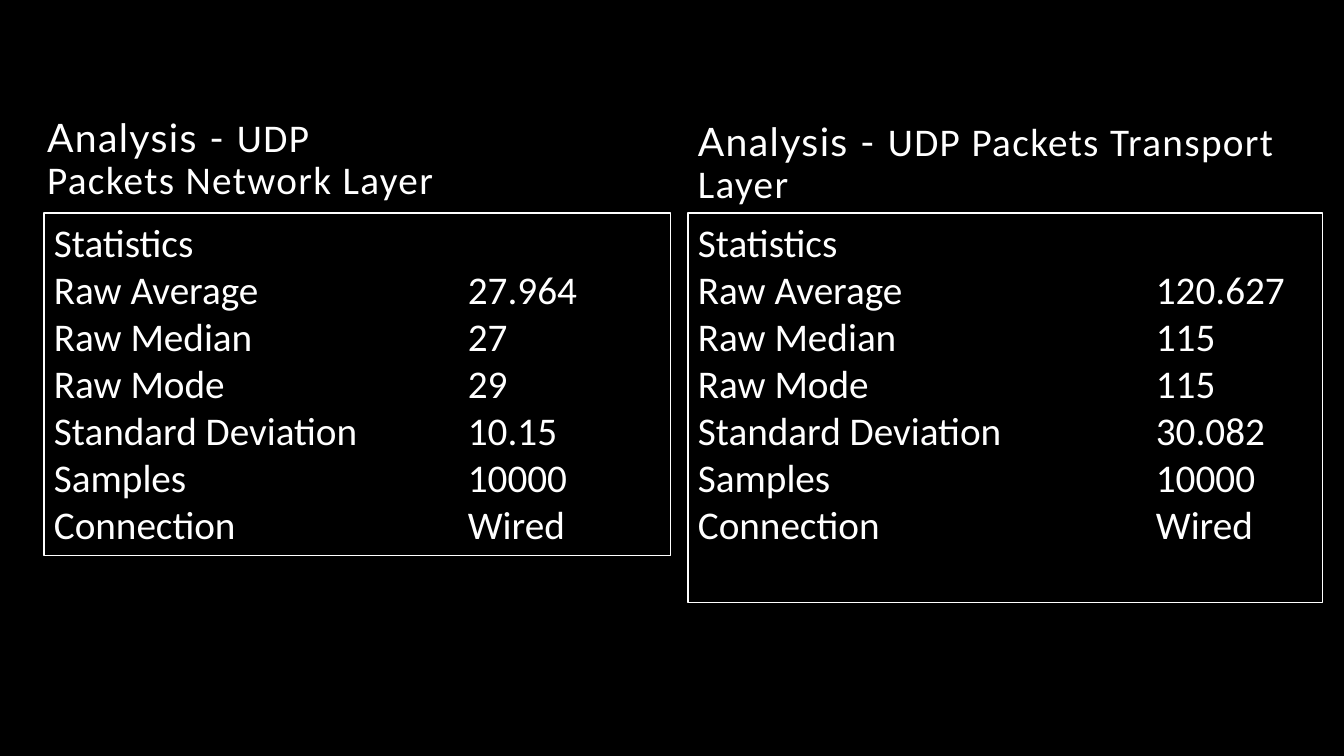
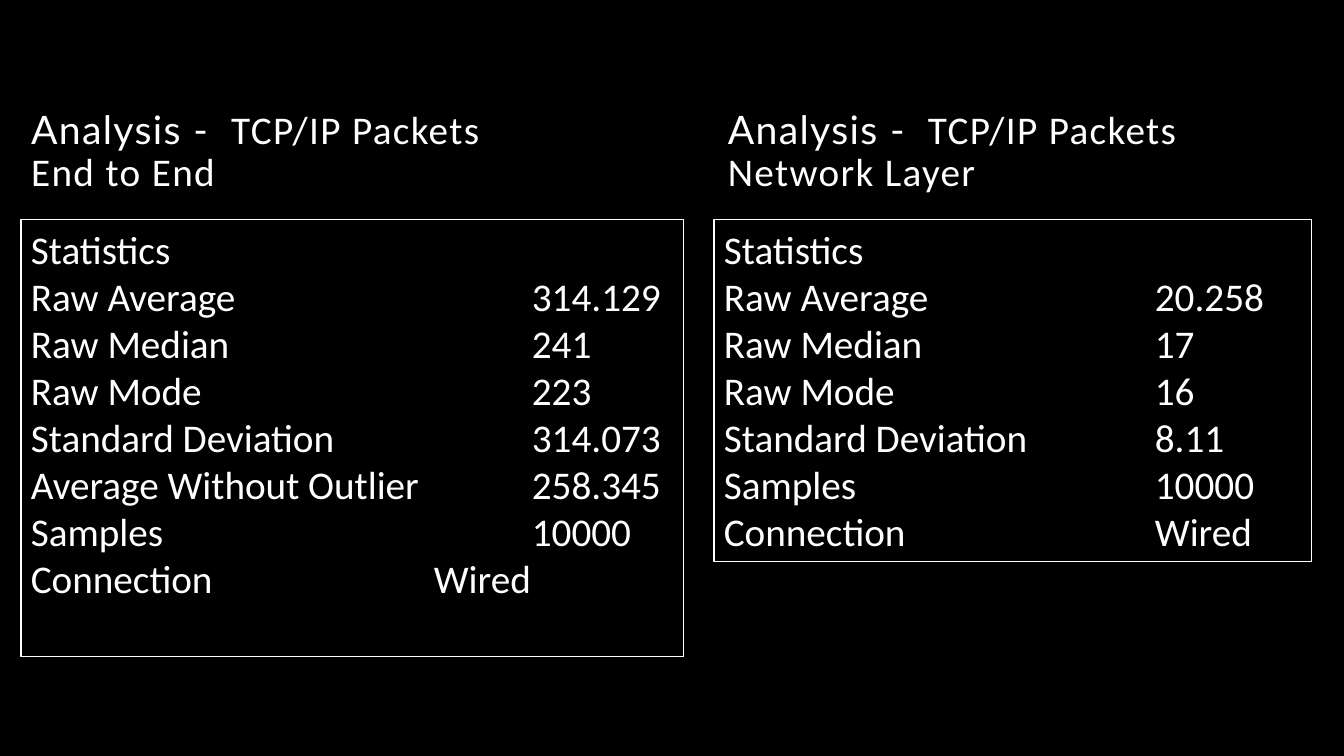
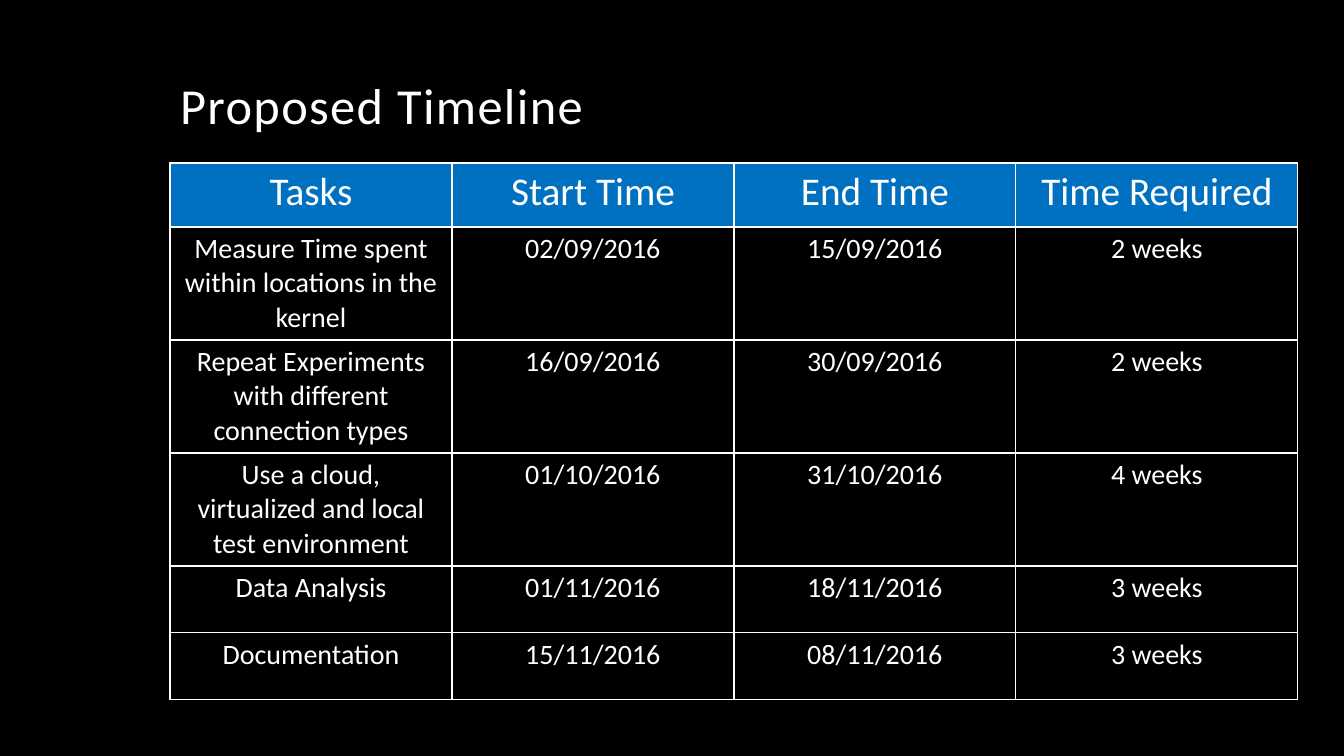
from collections import namedtuple
from dataclasses import dataclass

from lxml.etree import SubElement
from pptx import Presentation
from pptx.dml.color import RGBColor
from pptx.enum.shapes import MSO_SHAPE as Preset
from pptx.enum.text import MSO_ANCHOR as Anchor, MSO_AUTO_SIZE as AutoSize, PP_ALIGN as Align
from pptx.oxml.ns import qn
from pptx.util import Emu, Pt

Box = namedtuple("Box", "left top width height")
EMU_PER_PIXEL = 914400 / 100.8


@dataclass(frozen=True)
class Theme:
    background: RGBColor = RGBColor(0, 0, 0)
    ink: RGBColor = RGBColor(255, 255, 255)
    accent: RGBColor = RGBColor(0, 0x70, 0xC0)
    body_font: str = "Calibri"
    heading_font: str = "Lato"
    title_size: Pt = Pt(36)
    text_size: Pt = Pt(28)
    cell_size: Pt = Pt(20)
    panel_line: Pt = Pt(0.75)
    border: Pt = Pt(1)
    tracking: str = "100"
    title_spacing: float = 0.9


THEME = Theme()
LABELS = ["Raw Average", "Raw Median", "Raw Mode", "Standard Deviation", "Samples", "Connection"]
OUTLIER_LABELS = LABELS[:4] + ["Average Without Outlier"] + LABELS[4:]
TIMELINE = [
    ("Tasks", "Start Time", "End Time", "Time Required"),
    ("Measure Time spent within locations in the kernel", "02/09/2016", "15/09/2016", "2 weeks"),
    ("Repeat Experiments with different connection types", "16/09/2016", "30/09/2016", "2 weeks"),
    ("Use a cloud, virtualized and local test environment", "01/10/2016", "31/10/2016", "4 weeks"),
    ("Data Analysis", "01/11/2016", "18/11/2016", "3 weeks"),
    ("Documentation", "15/11/2016", "08/11/2016", "3 weeks"),
]
ROW_HEIGHTS = [64, 113, 113, 113, 67, 67]


def pixels(length):
    return Emu(round(length * EMU_PER_PIXEL))


def scaled(box):
    return [pixels(length) for length in box]


def set_font(paragraph, size):
    font = paragraph.font
    font.name = THEME.body_font
    font.size = size
    font.color.rgb = THEME.ink


def format_heading(shape, box, parts, size):
    shape.left, shape.top, shape.width, shape.height = scaled(box)
    frame = shape.text_frame
    frame.word_wrap = True
    frame.auto_size = AutoSize.NONE
    frame.vertical_anchor = Anchor.BOTTOM
    paragraph = frame.paragraphs[0]
    paragraph.alignment = Align.LEFT
    paragraph.line_spacing = THEME.title_spacing
    set_font(paragraph, size)
    for text, font_name in parts:
        run = paragraph.add_run()
        run.text = text
        run.font.name = font_name
        run.font._element.set("spc", THEME.tracking)


def format_analysis_heading(shape, box, subject):
    parts = [("Analysis - ", THEME.heading_font), (subject, THEME.body_font)]
    format_heading(shape, box, parts, THEME.text_size)


def add_tab_stop(paragraph, position):
    tabs = SubElement(paragraph._p.get_or_add_pPr(), qn("a:tabLst"))
    SubElement(tabs, qn("a:tab"), pos=str(pixels(position)), algn="l")


def add_statistics(slide, box, labels, values, value_column, connection_column=None):
    panel = slide.shapes.add_shape(Preset.RECTANGLE, *scaled(box))
    panel.shadow.inherit = False
    panel.fill.background()
    panel.line.color.rgb = THEME.ink
    panel.line.width = THEME.panel_line
    frame = panel.text_frame
    frame.word_wrap = True
    frame.vertical_anchor = Anchor.TOP
    rows = [f"{label}\t{value}" for label, value in zip(labels, values)]
    frame.text = "\n".join(["Statistics", *rows])
    columns = [value_column] * len(rows) + [connection_column or value_column]
    for paragraph, column in zip(frame.paragraphs, columns):
        paragraph.alignment = Align.LEFT
        add_tab_stop(paragraph, column)
        set_font(paragraph, THEME.text_size)


def add_title_slide(presentation):
    return presentation.slides.add_slide(presentation.slide_layouts[5])


def add_comparison(presentation, columns):
    slide = add_title_slide(presentation)
    for index, (heading_box, subject, panel) in enumerate(columns):
        heading = slide.shapes.add_textbox(*scaled(heading_box)) if index else slide.shapes.title
        format_analysis_heading(heading, heading_box, subject)
        add_statistics(slide, *panel)


def format_cell(cell, text, is_header):
    properties = cell._tc.get_or_add_tcPr()
    for edge in ("lnL", "lnR", "lnT", "lnB"):
        line = SubElement(properties, qn(f"a:{edge}"), w=str(THEME.border))
        fill = SubElement(line, qn("a:solidFill"))
        SubElement(fill, qn("a:srgbClr"), val=str(THEME.ink))
    if is_header:
        cell.fill.solid()
        cell.fill.fore_color.rgb = THEME.accent
    else:
        cell.fill.background()
    cell.text = text
    paragraph = cell.text_frame.paragraphs[0]
    paragraph.alignment = Align.CENTER
    set_font(paragraph, THEME.text_size if is_header else THEME.cell_size)


def add_timeline(slide, box):
    table = slide.shapes.add_table(len(TIMELINE), len(TIMELINE[0]), *scaled(box)).table
    table.first_row = table.horz_banding = False
    for row, height in zip(table.rows, ROW_HEIGHTS):
        row.height = pixels(height)
    for row_index, texts in enumerate(TIMELINE):
        for column_index, text in enumerate(texts):
            format_cell(table.cell(row_index, column_index), text, row_index == 0)


def add_timeline_slide(presentation):
    slide = add_title_slide(presentation)
    title_parts = [("Proposed Timeline", THEME.body_font)]
    format_heading(slide.shapes.title, Box(170, -11, 1008, 151), title_parts, THEME.title_size)
    add_timeline(slide, Box(170, 163, 1128, sum(ROW_HEIGHTS)))


def main():
    presentation = Presentation()
    presentation.slide_width, presentation.slide_height = pixels(1344), pixels(756)
    background = presentation.slide_master.background.fill
    background.solid()
    background.fore_color.rgb = THEME.background

    add_comparison(presentation, [
        (Box(37, 85, 420, 123), "UDP Packets Network Layer",
         (Box(44, 213, 627, 343), LABELS,
          ["27.964", "27", "29", "10.15", "10000", "Wired"], 414)),
        (Box(688, 61, 607, 151), "UDP Packets Transport Layer",
         (Box(688, 213, 635, 390), LABELS,
          ["120.627", "115", "115", "30.082", "10000", "Wired"], 458)),
    ])
    add_comparison(presentation, [
        (Box(21, 128, 508, 72), " TCP/IP Packets End to End",
         (Box(21, 220, 663, 437), OUTLIER_LABELS,
          ["314.129", "241", "223", "314.073", "258.345", "10000", "Wired"], 501, 403)),
        (Box(718, 116, 597, 84), " TCP/IP Packets Network Layer",
         (Box(714, 220, 598, 342), LABELS,
          ["20.258", "17", "16", "8.11", "10000", "Wired"], 431)),
    ])
    add_timeline_slide(presentation)
    presentation.save("out.pptx")


main()
